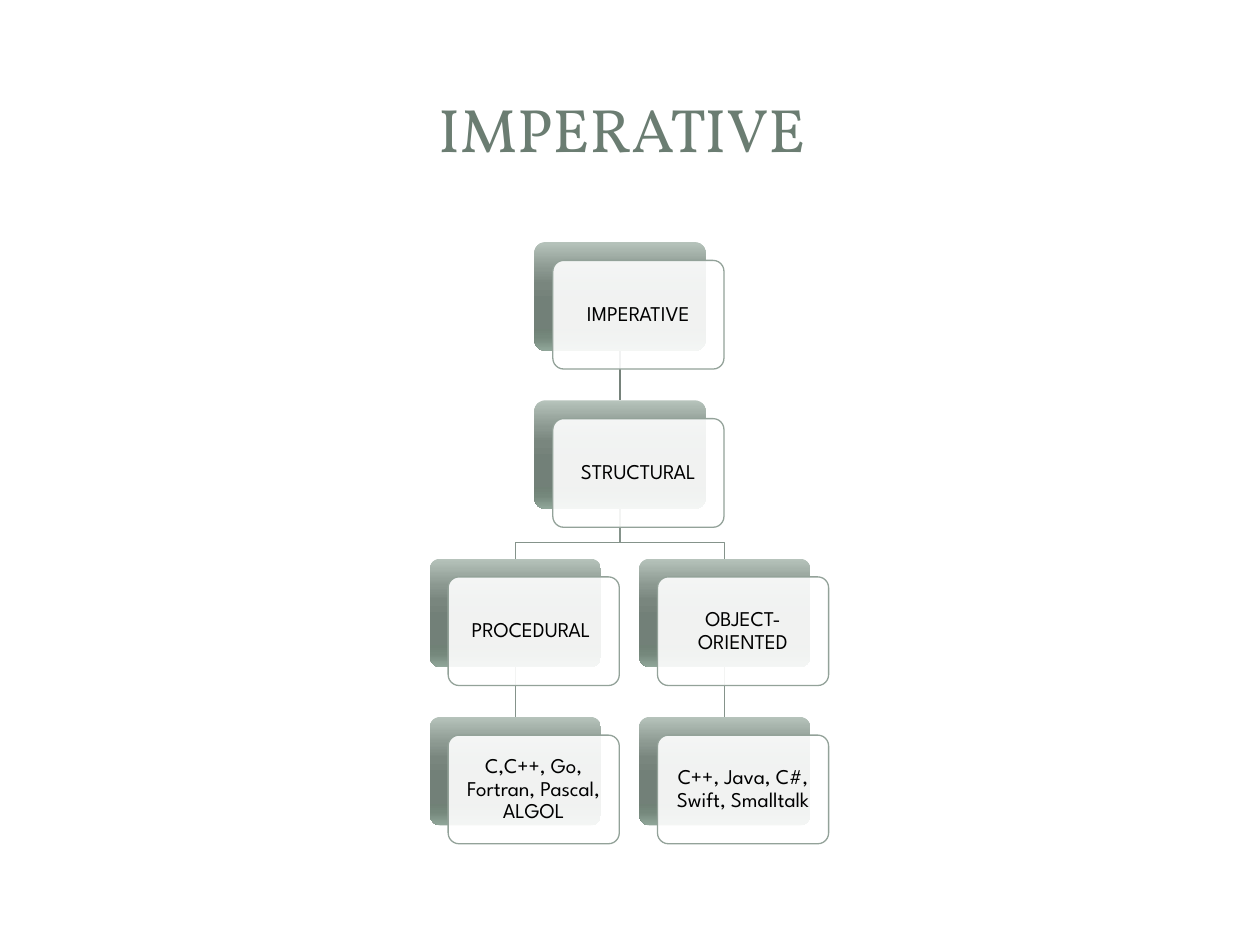
from copy import deepcopy
from dataclasses import dataclass

from lxml.etree import SubElement
from pptx import Presentation
from pptx.dml.color import RGBColor
from pptx.enum.shapes import MSO_CONNECTOR, MSO_SHAPE
from pptx.enum.text import MSO_ANCHOR, PP_ALIGN
from pptx.oxml.ns import qn
from pptx.util import Cm, Pt


@dataclass(frozen=True)
class Theme:
    title_font: str = "Vollkorn"
    body_font: str = "League Spartan"
    title_size: float = 35
    body_size: float = 12
    line_width: float = 0.75
    title: str = "6B7D72"
    text: str = "000000"
    card: str = "FFFFFF"
    card_alpha: int = 90
    border: str = "93A299"
    root_link: str = "76827B"
    link: str = "85938B"
    gradient: tuple = ((0, "B6C3BB"), (25, "8B9890"), (38, "79867E"), (55, "728078"),
                       (80, "708176"), (88, "75887C"), (100, "91A79A"))


class TreeSlide:
    """Draws a title and a tree of layered cards on one slide."""

    CARD_W, CARD_H = 3.45, 2.19
    OFFSET = 0.37
    CENTER, TOP = 12.5, 4.88
    COL_STEP, ROW_STEP = 4.22, 3.19
    BEND = 0.32

    def __init__(self, prs, theme):
        self.theme = theme
        self.s = prs.slides.add_slide(prs.slide_layouts[6])

    def place(self, node):
        return (self.CENTER + node["col"] * self.COL_STEP,
                self.TOP + node["row"] * self.ROW_STEP)

    def label(self, sp, text, font, size, color, margin, spacing):
        tf = sp.text_frame
        fmt = {"word_wrap": True, "vertical_anchor": MSO_ANCHOR.MIDDLE}
        fmt.update({f"margin_{side}": Cm(margin) for side in ("left", "right", "top", "bottom")})
        for name, value in fmt.items():
            setattr(tf, name, value)
        p = tf.paragraphs[0]
        p.alignment, p.line_spacing = PP_ALIGN.CENTER, spacing
        r = p.add_run()
        for name, value in {"name": font, "size": Pt(size), "bold": False}.items():
            setattr(r.font, name, value)
        r.font.color.rgb = RGBColor.from_string(color)
        r.text = text

    def title(self, text):
        t = self.theme
        sp = self.s.shapes.add_textbox(Cm(1.19), Cm(1.14), Cm(22.94), Cm(2.9))
        self.label(sp, text, t.title_font, t.title_size, t.title, 0.13, 1.0)

    def rounded(self, x, y):
        sp = self.s.shapes.add_shape(MSO_SHAPE.ROUNDED_RECTANGLE, Cm(x), Cm(y),
                                     Cm(self.CARD_W), Cm(self.CARD_H))
        sp.adjustments[0] = 0.1
        sp.shadow.inherit = False
        return sp

    def shade(self, sp):
        sp.fill.gradient()
        sp.fill.gradient_angle = 270
        stops = sp._element.spPr.find(".//" + qn("a:gsLst"))
        sample = deepcopy(stops[0])
        for stop in list(stops):
            stops.remove(stop)
        for pos, color in self.theme.gradient:
            stop = deepcopy(sample)
            stop.set("pos", str(pos * 1000))
            for child in list(stop):
                stop.remove(child)
            SubElement(stop, qn("a:srgbClr"), val=color)
            stops.append(stop)

    def outline(self, sp, color):
        sp.line.color.rgb = RGBColor.from_string(color)
        sp.line.width = Pt(self.theme.line_width)

    def card(self, node):
        t = self.theme
        center, y = self.place(node)
        x = center - self.CARD_W / 2
        back = self.rounded(x, y)
        self.shade(back)
        back.line.fill.background()
        front = self.rounded(x + self.OFFSET, y + self.OFFSET)
        front.fill.solid()
        front.fill.fore_color.rgb = RGBColor.from_string(t.card)
        color = front._element.spPr.find(qn("a:solidFill"))[0]
        SubElement(color, qn("a:alpha"), val=str(t.card_alpha * 1000))
        self.outline(front, t.border)
        self.label(front, node["text"], t.body_font, t.body_size, t.text, 0.13, 0.9)

    def link(self, parent, child):
        x1, y1 = self.place(parent)
        x2, y2 = self.place(child)
        y1 += self.CARD_H
        if x1 == x2:
            sp = self.s.shapes.add_connector(MSO_CONNECTOR.STRAIGHT, Cm(x1), Cm(y1), Cm(x2), Cm(y2))
            SubElement(sp._element.spPr, qn("a:effectLst"))
        else:
            bend = y2 - self.BEND
            fb = self.s.shapes.build_freeform(Cm(x1), Cm(y1))
            fb.add_line_segments([(Cm(x1), Cm(bend)), (Cm(x2), Cm(bend)), (Cm(x2), Cm(y2))],
                                 close=False)
            sp = fb.convert_to_shape()
            sp.shadow.inherit = False
            sp.fill.background()
        self.outline(sp, self.theme.link if parent["row"] else self.theme.root_link)


NODES = {
    "imperative": {"text": "IMPERATIVE", "col": 0, "row": 0, "parent": None},
    "structural": {"text": "STRUCTURAL", "col": 0, "row": 1, "parent": "imperative"},
    "procedural": {"text": "PROCEDURAL ", "col": -0.5, "row": 2, "parent": "structural"},
    "procedural_languages": {"text": "C,C++, Go, Fortran, Pascal, ALGOL",
                             "col": -0.5, "row": 3, "parent": "procedural"},
    "object_oriented": {"text": "OBJECT-ORIENTED", "col": 0.5, "row": 2, "parent": "structural"},
    "object_languages": {"text": "C++, Java, C#, Swift, Smalltalk",
                         "col": 0.5, "row": 3, "parent": "object_oriented"},
}

prs = Presentation()
prs.slide_width, prs.slide_height = Cm(25.4), Cm(19.05)
tree = TreeSlide(prs, Theme())
tree.title("IMPERATIVE ")
for node in NODES.values():
    if node["parent"]:
        tree.link(NODES[node["parent"]], node)
for node in NODES.values():
    tree.card(node)
prs.save("out.pptx")
